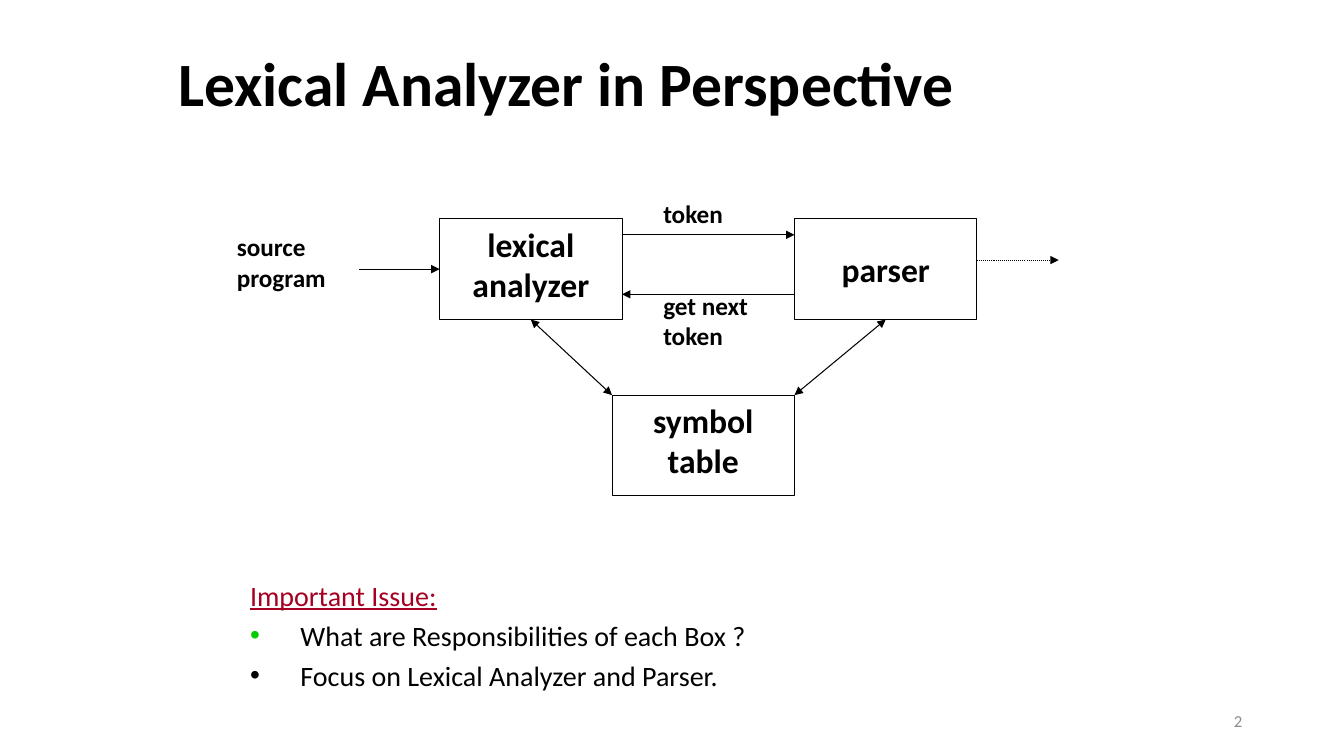
from lxml.etree import SubElement
from pptx import Presentation
from pptx.dml.color import RGBColor
from pptx.enum.dml import MSO_LINE
from pptx.enum.shapes import MSO_CONNECTOR, MSO_SHAPE
from pptx.enum.text import MSO_ANCHOR, MSO_AUTO_SIZE, PP_ALIGN
from pptx.oxml.ns import qn
from pptx.util import Inches, Pt

BLACK = RGBColor(0x00, 0x00, 0x00)
CRIMSON = RGBColor(0xA5, 0x00, 0x21)
GREEN = RGBColor(0x00, 0xCC, 0x00)
GRAY = RGBColor(0x8C, 0x8C, 0x8C)
FONT = "Calibri"
BOX_WIDTH, BOX_HEIGHT = 1.81, 1
LEXER_LEFT, PARSER_LEFT, TABLE_LEFT = 4.36, 7.88, 6.07
TOP_ROW, TABLE_TOP = 2.17, 3.92


def style(paragraph, size, color=BLACK, bold=False, align=PP_ALIGN.LEFT):
    paragraph.alignment = align
    for run in paragraph.runs:
        run.font.name = FONT
        run.font.size = Pt(size)
        run.font.bold = bold
        run.font.color.rgb = color


def place(shape, left, top, width, height):
    shape.left, shape.top = Inches(left), Inches(top)
    shape.width, shape.height = Inches(width), Inches(height)


def add_title(slide, text):
    title = slide.shapes.title
    place(title, 1.67, 0.17, 10, 1.38)
    frame = title.text_frame
    frame.text = text
    frame.auto_size = MSO_AUTO_SIZE.NONE
    frame.vertical_anchor = MSO_ANCHOR.MIDDLE
    frame.paragraphs[0].line_spacing = 0.9
    style(frame.paragraphs[0], 44, bold=True)


def add_box(slide, text, left, top, anchor=MSO_ANCHOR.TOP):
    box = slide.shapes.add_shape(
        MSO_SHAPE.RECTANGLE, Inches(left), Inches(top), Inches(BOX_WIDTH), Inches(BOX_HEIGHT))
    box.shadow.inherit = False
    box.fill.background()
    box.line.color.rgb = BLACK
    box.line.width = Pt(0.75)
    frame = box.text_frame
    frame.text = text
    frame.word_wrap = True
    frame.vertical_anchor = anchor
    style(frame.paragraphs[0], 24, bold=True, align=PP_ALIGN.CENTER)


def add_label(slide, text, left, top, width, height):
    label = slide.shapes.add_textbox(Inches(left), Inches(top), Inches(width), Inches(height))
    label.text_frame.text = text
    label.text_frame.word_wrap = True
    style(label.text_frame.paragraphs[0], 18, bold=True)
    return label


def add_arrow(slide, start, end, both_ways=False, dash=None):
    arrow = slide.shapes.add_connector(
        MSO_CONNECTOR.STRAIGHT, *(Inches(length) for length in start + end))
    arrow.line.color.rgb = BLACK
    arrow.line.width = Pt(0.75)
    if dash:
        arrow.line.dash_style = dash
    outline = arrow.line._get_or_add_ln()
    if both_ways:
        SubElement(outline, qn("a:headEnd"), type="triangle")
    SubElement(outline, qn("a:tailEnd"), type="triangle")
    SubElement(arrow._element.spPr, qn("a:effectLst"))


def set_bullet(paragraph, color):
    properties = paragraph._p.get_or_add_pPr()
    properties.set("marL", str(Inches(0.5)))
    properties.set("indent", str(-Inches(0.5)))
    bullet_color = SubElement(properties, qn("a:buClr"))
    SubElement(bullet_color, qn("a:srgbClr"), val=str(color))
    SubElement(properties, qn("a:buFont"), typeface="Arial")
    SubElement(properties, qn("a:buChar"), char="•")


def add_issues(slide, heading, issues):
    body = slide.placeholders[1]
    place(body, 2.38, 5.75, 7.58, 1.24)
    frame = body.text_frame
    frame.text = "\n".join([heading] + [text for text, _ in issues])
    frame.auto_size = MSO_AUTO_SIZE.NONE
    for paragraph in frame.paragraphs:
        paragraph.line_spacing = 0.8
        paragraph.space_before = Pt(9.5)
        style(paragraph, 20)
    first, *bulleted = frame.paragraphs
    first.space_before = Pt(0)
    style(first, 20, CRIMSON)
    first.runs[0].font.underline = True
    properties = first._p.get_or_add_pPr()
    properties.set("marL", "0")
    properties.set("indent", "0")
    SubElement(properties, qn("a:buNone"))
    for paragraph, (_, color) in zip(bulleted, issues):
        set_bullet(paragraph, color)


def add_diagram(slide):
    add_box(slide, "lexical analyzer", LEXER_LEFT, TOP_ROW)
    add_box(slide, "parser", PARSER_LEFT, TOP_ROW, MSO_ANCHOR.MIDDLE)
    add_box(slide, "symbol table", TABLE_LEFT, TABLE_TOP)

    lexer_right = LEXER_LEFT + BOX_WIDTH
    parser_right = PARSER_LEFT + BOX_WIDTH
    table_right = TABLE_LEFT + BOX_WIDTH
    row_bottom = TOP_ROW + BOX_HEIGHT
    half = BOX_WIDTH / 2
    add_arrow(slide, (3.56, 2.67), (LEXER_LEFT, 2.67))
    add_arrow(slide, (lexer_right, 2.33), (PARSER_LEFT, 2.33))
    add_arrow(slide, (PARSER_LEFT, 2.92), (lexer_right, 2.92))
    add_arrow(slide, (parser_right, 2.58), (10.5, 2.58), dash=MSO_LINE.ROUND_DOT)
    add_arrow(slide, (TABLE_LEFT, TABLE_TOP), (LEXER_LEFT + half, row_bottom), both_ways=True)
    add_arrow(slide, (table_right, TABLE_TOP), (PARSER_LEFT + half, row_bottom), both_ways=True)

    add_label(slide, "source program", 2.25, 2.25, 1.71, 0.71)
    add_label(slide, "token", 6.48, 1.92, 1.01, 0.4)
    add_label(slide, "get next token", 6.48, 2.83, 1.31, 0.71)


def main():
    presentation = Presentation()
    presentation.slide_width, presentation.slide_height = Inches(13.33), Inches(7.5)
    slide = presentation.slides.add_slide(presentation.slide_layouts[1])
    add_title(slide, "Lexical Analyzer in Perspective")
    add_diagram(slide)
    add_issues(slide, "Important Issue:", [
        ("What are Responsibilities of each Box ?", GREEN),
        ("Focus on Lexical Analyzer and Parser.", BLACK),
    ])
    page_number = add_label(slide, "2", 9.42, 6.95, 3, 0.4)
    page_number.text_frame.vertical_anchor = MSO_ANCHOR.MIDDLE
    style(page_number.text_frame.paragraphs[0], 12, GRAY, align=PP_ALIGN.RIGHT)
    presentation.save("out.pptx")


if __name__ == "__main__":
    main()
